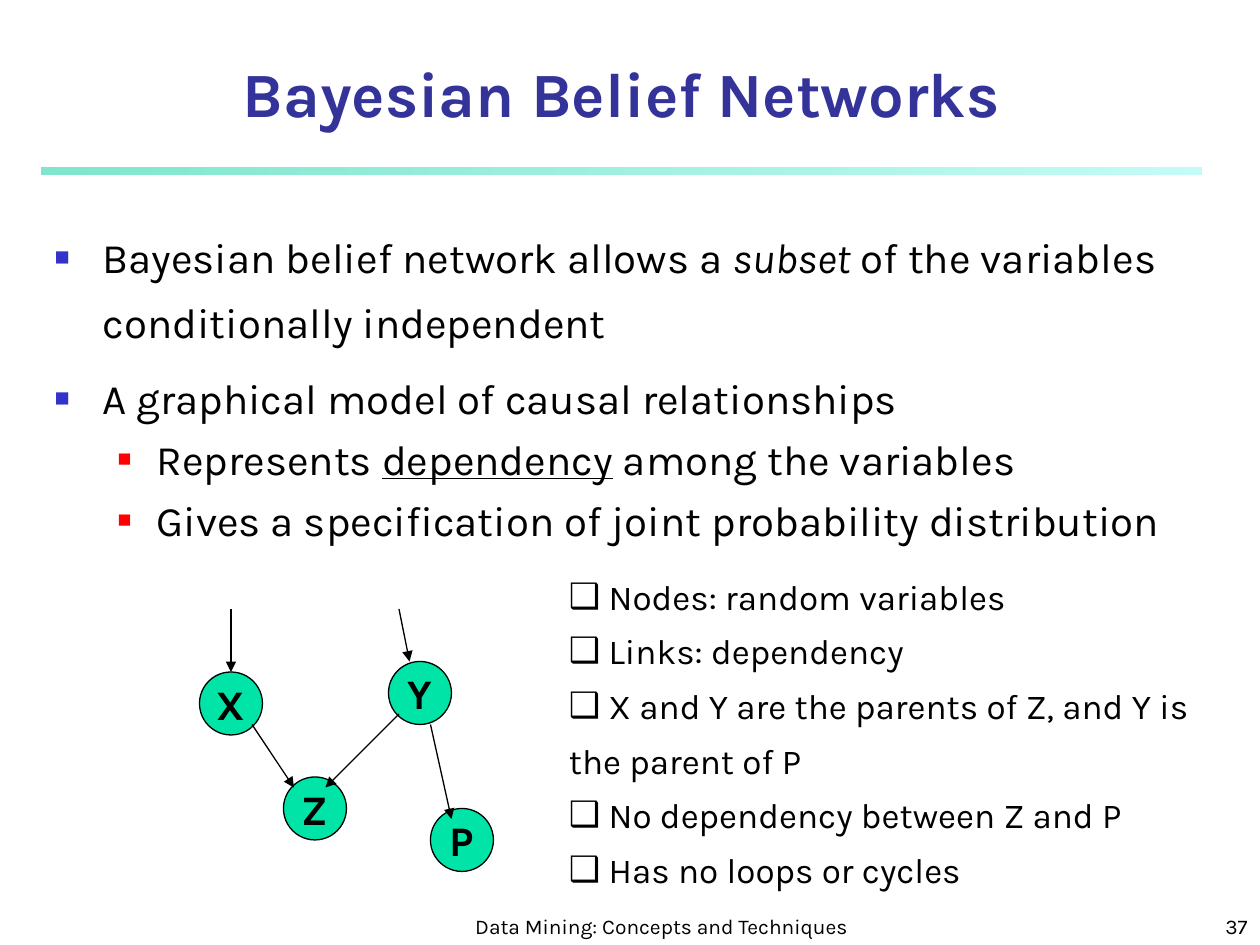
from dataclasses import dataclass

import lxml.etree
import pptx
import pptx.dml.color
import pptx.enum.shapes
import pptx.enum.text
import pptx.oxml.ns
import pptx.util

ANCHOR = pptx.enum.text.MSO_ANCHOR
ALIGN = pptx.enum.text.PP_ALIGN
FIT = pptx.enum.text.MSO_AUTO_SIZE
SHAPE = pptx.enum.shapes.MSO_SHAPE
COLUMNS, ROWS = 120, 90


@dataclass(frozen=True)
class Theme:
    font: str = "Karla"
    ink: str = "000000"
    title: str = "333399"
    bullet: str = "3333CC"
    sub_bullet: str = "FF0000"
    node: str = "00E4A8"
    rule: tuple = (("00CE98", 50), ("8FF9EF", 52))
    title_size: int = 36
    body_size: int = 24
    note_size: int = 20
    footer_size: int = 12
    line: float = 0.75


THEME = Theme()


def rgb(value):
    return pptx.dml.color.RGBColor.from_string(value)


def grid(prs, *cells):
    units = (prs.slide_width / COLUMNS, prs.slide_height / ROWS)
    return [round(c * units[i % 2]) for i, c in enumerate(cells)]


def add_xml(parent, tag, **attrs):
    return lxml.etree.SubElement(parent, pptx.oxml.ns.qn(tag), attrs)


def place(sp, box):
    sp.left, sp.top, sp.width, sp.height = box


def style(p, size, color=THEME.ink, bold=False, align=None):
    p.font.name = THEME.font
    p.font.size = pptx.util.Pt(size)
    p.font.color.rgb = rgb(color)
    p.font.bold = bold
    p.alignment = align


def add_bullet(p, char, color, percent=100, left=0, hang=0):
    pPr = p._p.get_or_add_pPr()
    pPr.set("marL", str(pptx.util.Inches(left)))
    pPr.set("indent", str(-pptx.util.Inches(hang)))
    add_xml(add_xml(pPr, "a:buClr"), "a:srgbClr", val=color)
    add_xml(pPr, "a:buSzPct", val=str(percent * 1000))
    add_xml(pPr, "a:buFont", typeface="Arial")
    add_xml(pPr, "a:buChar", char=char)


def title(slide, box, text):
    sp = slide.shapes.title
    place(sp, box)
    tf = sp.text_frame
    tf.text = text
    tf.auto_size = FIT.NONE
    tf.vertical_anchor = ANCHOR.BOTTOM
    style(tf.paragraphs[0], THEME.title_size, THEME.title, True, ALIGN.CENTER)


def rule(slide, box):
    sp = slide.shapes.add_shape(SHAPE.RECTANGLE, *box)
    sp.shadow.inherit = False
    sp.line.fill.background()
    sp.fill.gradient()
    sp.fill.gradient_angle = 0
    for stop, (color, alpha) in zip(sp.fill.gradient_stops, THEME.rule):
        stop.color.rgb = rgb(color)
    clrs = sp._element.spPr.iter(pptx.oxml.ns.qn("a:srgbClr"))
    for clr, (color, alpha) in zip(list(clrs), THEME.rule):
        add_xml(clr, "a:alpha", val=str(alpha * 1000))


def body(slide, box, items):
    sp = slide.placeholders[1]
    place(sp, box)
    tf = sp.text_frame
    tf.auto_size = FIT.NONE
    for i, (level, runs) in enumerate(items):
        p = tf.paragraphs[0] if i == 0 else tf.add_paragraph()
        p.level = level
        p.space_before = pptx.util.Pt(6)
        p.line_spacing = 1.0 if level else 1.3
        style(p, THEME.body_size)
        if level:
            add_bullet(p, "■", THEME.sub_bullet, 55, 0.81, 0.31)
        else:
            add_bullet(p, "■", THEME.bullet, 60, 0.38, 0.38)
        for text, emphasis in runs:
            r = p.add_run()
            r.text = text
            if emphasis:
                setattr(r.font, emphasis, True)


def notes_list(slide, box, lines):
    tf = slide.shapes.add_textbox(*box).text_frame
    tf.word_wrap = True
    tf.auto_size = FIT.SHAPE_TO_FIT_TEXT
    for i, line in enumerate(lines):
        p = tf.paragraphs[0] if i == 0 else tf.add_paragraph()
        p.text = " " + line
        p.line_spacing = 1.3
        style(p, THEME.note_size)
        add_bullet(p, "❑", THEME.ink)


def node(slide, box, text):
    sp = slide.shapes.add_shape(SHAPE.FLOWCHART_CONNECTOR, *box)
    sp.shadow.inherit = False
    sp.fill.solid()
    sp.fill.fore_color.rgb = rgb(THEME.node)
    sp.line.color.rgb = rgb(THEME.ink)
    sp.line.width = pptx.util.Pt(THEME.line)
    tf = sp.text_frame
    tf.text = text
    tf.word_wrap = False
    tf.vertical_anchor = ANCHOR.MIDDLE
    style(tf.paragraphs[0], THEME.body_size, bold=True, align=ALIGN.CENTER)


def arrow(slide, ends):
    cxn = slide.shapes.add_connector(pptx.enum.shapes.MSO_CONNECTOR.STRAIGHT, *ends)
    cxn.line.color.rgb = rgb(THEME.ink)
    cxn.line.width = pptx.util.Pt(THEME.line)
    add_xml(cxn.line._get_or_add_ln(), "a:tailEnd", type="triangle")
    add_xml(cxn._element.spPr, "a:effectLst")


def network(prs, slide, box, nodes, links):
    left, top, size = box
    for text, x, y in nodes:
        node(slide, grid(prs, left + x, top + y, size, size), text)
    for x1, y1, x2, y2 in links:
        arrow(slide, grid(prs, left + x1, top + y1, left + x2, top + y2))


def footer(slide, box, text, align):
    tf = slide.shapes.add_textbox(*box).text_frame
    tf.word_wrap = True
    tf.vertical_anchor = ANCHOR.BOTTOM
    tf.text = text
    style(tf.paragraphs[0], THEME.footer_size, align=align)


def main():
    prs = pptx.Presentation()
    prs.slide_width, prs.slide_height = pptx.util.Inches(10), pptx.util.Inches(7.5)
    slide = prs.slides.add_slide(prs.slide_layouts[1])
    rule(slide, grid(prs, 4, 16, 110.4, 0.6))
    footer(slide, grid(prs, 44, 85, 38, 5), "Data Mining: Concepts and Techniques", ALIGN.CENTER)
    footer(slide, grid(prs, 95, 85, 25, 5), "37", ALIGN.RIGHT)
    title(slide, grid(prs, 4, 5, 110.3, 8), "Bayesian Belief Networks")
    body(slide, grid(prs, 4, 20, 112, 66), [
        (0, [("Bayesian belief network allows a ", None), ("subset", "italic"),
             (" of the variables conditionally independent", None)]),
        (0, [("A graphical model of causal relationships", None)]),
        (1, [("Represents ", None), ("dependency", "underline"),
             (" among the variables", None)]),
        (1, [("Gives a specification of joint probability distribution", None)]),
    ])
    network(
        prs, slide, (19, 58, 6),
        [("X", 0, 6), ("Y", 18, 5), ("Z", 8, 16), ("P", 22, 19)],
        [(5, 11, 9, 17), (19, 10, 12, 17), (22, 11, 24, 20),
         (3, 0, 3, 6), (19, 0, 20, 5)],
    )
    notes_list(slide, grid(prs, 53, 53, 64.8, 32.4), [
        "Nodes: random variables",
        "Links: dependency",
        "X and Y are the parents of Z, and Y is the parent of P",
        "No dependency between Z and P",
        "Has no loops or cycles",
    ])
    prs.save("out.pptx")


if __name__ == "__main__":
    main()
